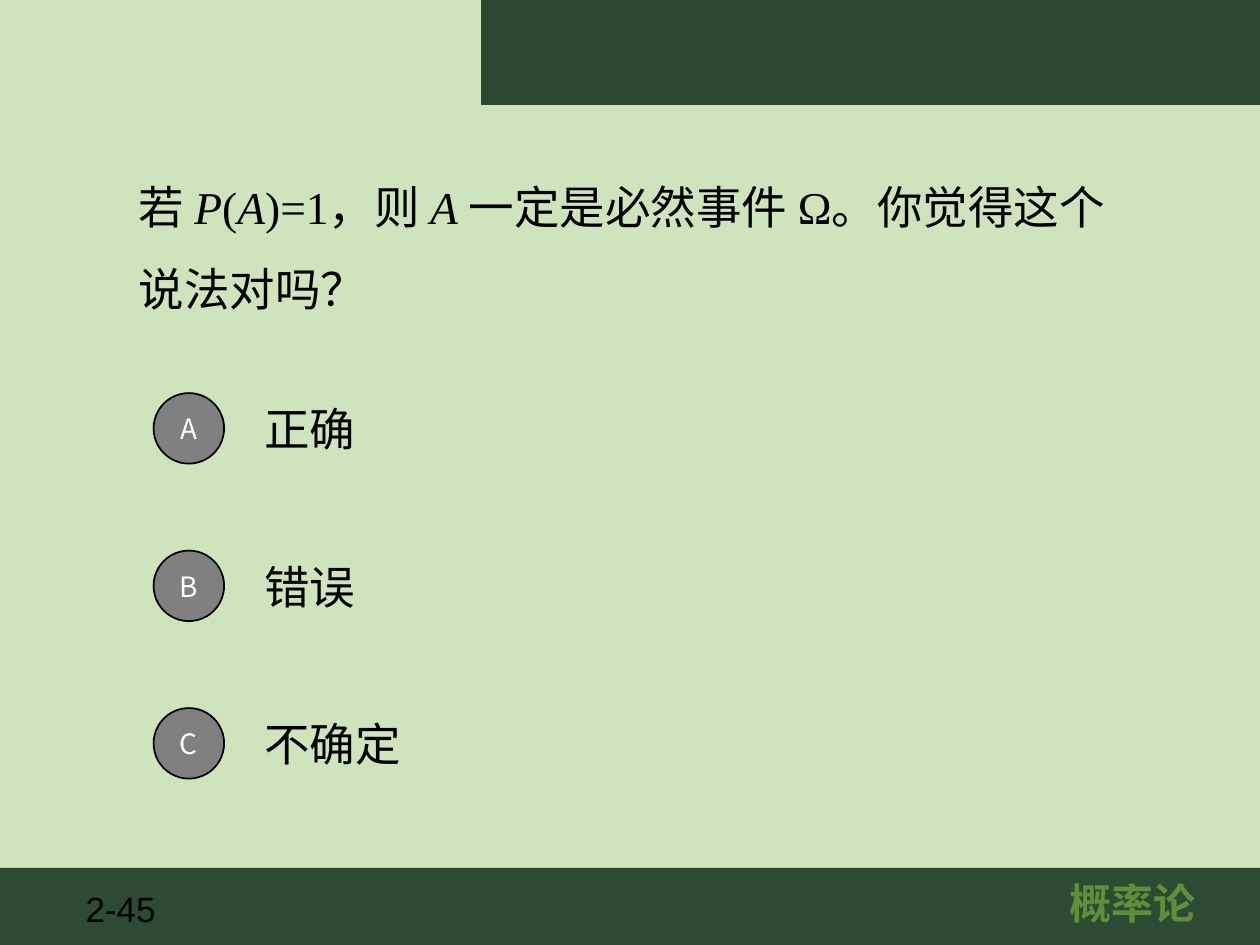
from lxml import etree
from pptx import Presentation
from pptx.dml.color import RGBColor
from pptx.enum import shapes, text
from pptx.oxml.ns import qn
from pptx.util import Pt

MINT = RGBColor(0xCD, 0xE4, 0xBC)
PINE = RGBColor(0x2D, 0x4B, 0x33)
DARK = RGBColor(0x2C, 0x4A, 0x32)
LEAF = RGBColor(0x5F, 0x8F, 0x3B)
GRAY = RGBColor(0x80, 0x80, 0x80)
BLACK = RGBColor(0, 0, 0)
WHITE = RGBColor(0xFF, 0xFF, 0xFF)
HAN, SERIF, SANS = "Noto Sans CJK SC", "Times New Roman", "Arial"
LEFT, MID = text.PP_ALIGN.LEFT, text.PP_ALIGN.CENTER

QUERY = [("若 ", HAN, False), ("P", SERIF, True), ("(", SERIF, False),
         ("A", SERIF, True), (")=1", SERIF, False), ("，则 ", HAN, False),
         ("A ", SERIF, True), ("一定是必然事件 ", HAN, False),
         ("Ω", SERIF, False), ("。你觉得这个说法对吗？", HAN, False)]
CHOICES = [("A", "正确"), ("B", "错误"), ("C", "不确定")]


def write(shape, runs, size=26, color=BLACK, bold=False, align=LEFT,
          anchor=text.MSO_ANCHOR.MIDDLE, space=1.0):
    """Fill a shape with one paragraph of (words, font, italic) runs."""
    frame = shape.text_frame
    frame.word_wrap = True
    frame.auto_size = text.MSO_AUTO_SIZE.NONE
    frame.vertical_anchor = anchor
    para = frame.paragraphs[0]
    para.alignment = align
    para.line_spacing = space
    para.space_before = Pt(0)
    for words, face, slant in runs:
        run = para.add_run()
        run.text = words
        font = run.font
        font.size, font.name = Pt(size), face
        font.bold, font.italic = bold, slant
        font.color.rgb = color
        # Chinese glyphs take their typeface from a:ea
        etree.SubElement(run._r.get_or_add_rPr(), qn("a:ea"), typeface=face)


def label(slide, box, words, face=HAN, **style):
    shape = slide.shapes.add_textbox(*map(Pt, box))
    write(shape, [(words, face, False)], **style)


def block(slide, kind, box, fill, line=None):
    shape = slide.shapes.add_shape(kind, *map(Pt, box))
    shape.shadow.inherit = False
    shape.fill.solid()
    shape.fill.fore_color.rgb = fill
    if line is None:
        shape.line.fill.background()
    else:
        shape.line.color.rgb = line
        shape.line.width = Pt(1)
    return shape


def header(slide, box):
    block(slide, shapes.MSO_SHAPE.RECTANGLE, box, DARK)


def footer(slide, box):
    x, y, w, h = box
    block(slide, shapes.MSO_SHAPE.RECTANGLE, box, PINE)
    top = text.MSO_ANCHOR.TOP
    label(slide, (x + 41.8, y + 8, 56, 31), "2-45", SANS, size=20, anchor=top)
    label(slide, (x + w - 184.3, y + 2.2, 222.5, 36), "概率论", SANS,
          size=24, color=LEAF, bold=True, align=MID, anchor=top)


def query(slide, box):
    title = slide.shapes.title
    title.left, title.top, title.width, title.height = map(Pt, box)
    write(title, QUERY, space=1.5)


def choices(slide, box, step=90, row=50.4, disc=40.3):
    x, y, w, h = box
    indent = 56.2
    for i, (mark, words) in enumerate(CHOICES):
        top = y + i * step
        label(slide, (x + indent, top, w - indent, row), words)
        badge = block(slide, shapes.MSO_SHAPE.OVAL,
                      (x, top + (row - disc) / 2, disc, disc), GRAY, BLACK)
        write(badge, [(mark, HAN, False)], size=16, color=WHITE, align=MID)


def main():
    deck = Presentation()
    deck.slide_width, deck.slide_height = Pt(720), Pt(540)
    slide = deck.slides.add_slide(deck.slide_layouts[5])
    slide.background.fill.solid()
    slide.background.fill.fore_color.rgb = MINT
    footer(slide, (0, 495.9, 720, 45))
    header(slide, (275, 0, 445, 60))
    query(slide, (72, 49.5, 576, 168.5))
    choices(slide, (87.8, 219.6, 560.2, 230.4))
    deck.save("out.pptx")


if __name__ == "__main__":
    main()
